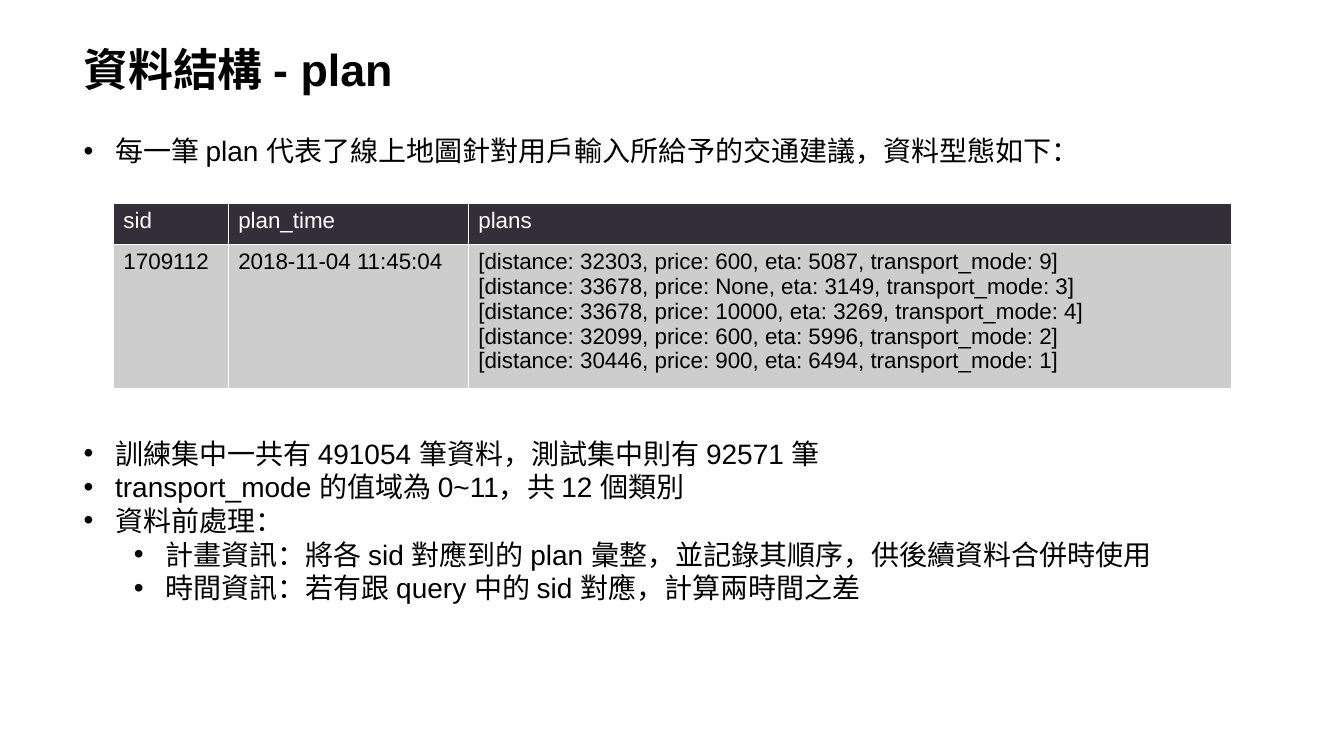
from dataclasses import dataclass

from lxml import etree
from pptx import Presentation
from pptx.dml.color import RGBColor
from pptx.enum.text import MSO_ANCHOR, MSO_AUTO_SIZE, PP_ALIGN
from pptx.oxml.ns import qn
from pptx.util import Pt

LEFT = PP_ALIGN.LEFT
TOP, MIDDLE = MSO_ANCHOR.TOP, MSO_ANCHOR.MIDDLE
NO_FIT = MSO_AUTO_SIZE.NONE
TITLE_AND_CONTENT = 1


@dataclass(frozen=True)
class Theme:
    font: str = "Arial"
    title: int = 32
    body: int = 20
    cell: int = 16
    black: RGBColor = RGBColor(0, 0, 0)
    white: RGBColor = RGBColor(255, 255, 255)
    header: RGBColor = RGBColor(0x32, 0x2E, 0x3A)
    row: RGBColor = RGBColor(0xCE, 0xCD, 0xCE)


THEME = Theme()

TITLE = "資料結構 - plan"

# (level, space before, text); the gap after the first bullet holds the table
BULLETS = [
    (0, 0, "每一筆 plan 代表了線上地圖針對用戶輸入所給予的交通建議，資料型態如下："),
    (0, 192, "訓練集中一共有 491054 筆資料，測試集中則有 92571 筆"),
    (0, 0, "transport_mode 的值域為 0~11，共 12 個類別"),
    (0, 0, "資料前處理："),
    (1, 0, "計畫資訊：將各 sid 對應到的 plan 彙整，並記錄其順序，供後續資料合併時使用"),
    (1, 0, "時間資訊：若有跟 query 中的 sid 對應，計算兩時間之差"),
]

# (distance, price, eta, transport_mode)
PLANS = [
    (32303, 600, 5087, 9),
    (33678, None, 3149, 3),
    (33678, 10000, 3269, 4),
    (32099, 600, 5996, 2),
    (30446, 900, 6494, 1),
]
PLAN_LINES = [
    f"[distance: {d}, price: {p}, eta: {e}, transport_mode: {m}]" for d, p, e, m in PLANS
]
TABLE_ROWS = [
    ["sid", "plan_time", "plans"],
    ["1709112", "2018-11-04 11:45:04", "\n".join(PLAN_LINES)],
]
COLUMN_WIDTHS = [82, 171.5, 545]
ROW_HEIGHTS = [29.5, 103]


def set_attributes(target, values):
    for name, value in values.items():
        setattr(target, name, value)


def format_font(font, size, color, bold=False):
    set_attributes(font, {"name": THEME.font, "size": Pt(size), "bold": bold})
    font.color.rgb = color


def place(s, left, top, width, height, anchor):
    box = {"left": left, "top": top, "width": width, "height": height}
    set_attributes(s, {name: Pt(value) for name, value in box.items()})
    set_attributes(
        s.text_frame,
        {"vertical_anchor": anchor, "auto_size": NO_FIT, "word_wrap": True},
    )


def add_bullet(p, level):
    pPr = p._p.get_or_add_pPr()
    pPr.set("marL", str(Pt(22.5 + 36 * level)))
    pPr.set("indent", str(Pt(-22.5)))
    etree.SubElement(pPr, qn("a:buFont"), typeface=THEME.font)
    etree.SubElement(pPr, qn("a:buChar"), char="•")


def fill_title(s):
    place(s, 52.5, 11, 854.5, 80.5, MIDDLE)
    p = s.text_frame.paragraphs[0]
    set_attributes(p, {"text": TITLE, "alignment": LEFT, "line_spacing": 0.9})
    format_font(p.runs[0].font, THEME.title, THEME.black, bold=True)


def fill_bullets(s):
    place(s, 52.5, 92, 854, 371, TOP)
    tf = s.text_frame
    tf.text = "\n".join(text for _, _, text in BULLETS)
    for p, (level, gap, _) in zip(tf.paragraphs, BULLETS):
        set_attributes(
            p,
            {"level": level, "alignment": LEFT, "line_spacing": 1.0,
             "space_before": Pt(gap), "space_after": Pt(0)},
        )
        add_bullet(p, level)
        format_font(p.runs[0].font, THEME.body, THEME.black)


def add_borders(cell):
    tcPr = cell._tc.get_or_add_tcPr()
    for position, side in enumerate(("a:lnL", "a:lnR", "a:lnT", "a:lnB")):
        line = etree.Element(qn(side), w=str(Pt(1)))
        fill = etree.SubElement(line, qn("a:solidFill"))
        etree.SubElement(fill, qn("a:srgbClr"), val=str(THEME.white))
        tcPr.insert(position, line)


def format_cell(cell, text, fill, color):
    cell.text = text
    cell.fill.solid()
    cell.fill.fore_color.rgb = fill
    add_borders(cell)
    for p in cell.text_frame.paragraphs:
        format_font(p.runs[0].font, THEME.cell, color)


def add_plan_table(slide):
    table = slide.shapes.add_table(
        len(TABLE_ROWS), len(COLUMN_WIDTHS), Pt(81), Pt(145),
        Pt(sum(COLUMN_WIDTHS)), Pt(sum(ROW_HEIGHTS)),
    ).table
    for column, width in zip(table.columns, COLUMN_WIDTHS):
        column.width = Pt(width)
    colors = [(THEME.header, THEME.white), (THEME.row, THEME.black)]
    for row, height, texts, (fill, color) in zip(table.rows, ROW_HEIGHTS, TABLE_ROWS, colors):
        row.height = Pt(height)
        for cell, text in zip(row.cells, texts):
            format_cell(cell, text, fill, color)


def main():
    prs = Presentation()
    prs.slide_width, prs.slide_height = Pt(960), Pt(540)
    slide = prs.slides.add_slide(prs.slide_layouts[TITLE_AND_CONTENT])

    # Heading and list
    fill_title(slide.shapes.title)
    fill_bullets(slide.placeholders[1])

    # Sample record
    add_plan_table(slide)

    prs.save("out.pptx")


main()
